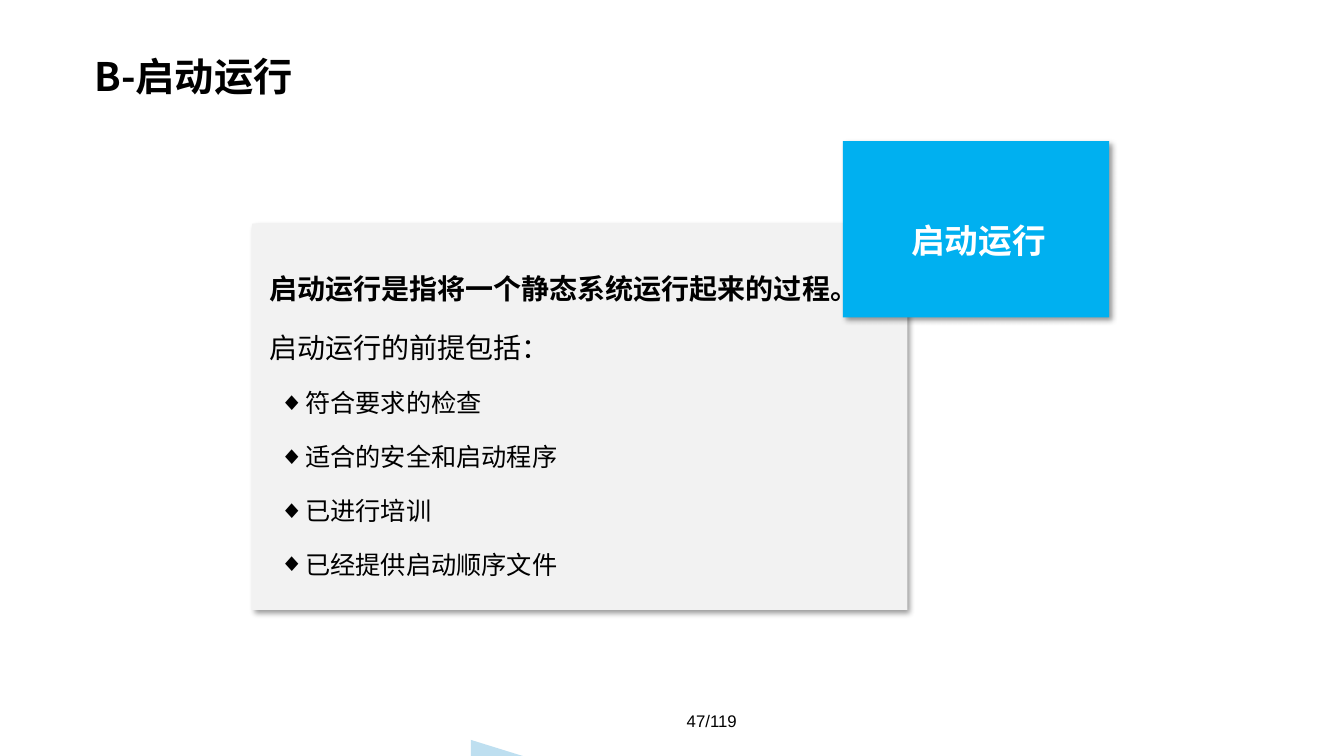
from lxml import etree
from pptx import Presentation
from pptx.dml.color import RGBColor
from pptx.enum.shapes import MSO_SHAPE
from pptx.enum.text import MSO_ANCHOR, PP_ALIGN
from pptx.oxml.ns import qn
from pptx.util import Inches, Pt

RECT, TRIANGLE = MSO_SHAPE.RECTANGLE, MSO_SHAPE.RIGHT_TRIANGLE
TOP, MIDDLE = MSO_ANCHOR.TOP, MSO_ANCHOR.MIDDLE
LEFT, CENTER = PP_ALIGN.LEFT, PP_ALIGN.CENTER
CJK, LATIN = "Noto Sans CJK SC", "Arial"
COLORS = {"black": "000000", "white": "FFFFFF", "panel": "F2F2F2",
          "tag": "00B0F0", "accent": "BEDFF0"}
STATEMENT = "启动运行是指将一个静态系统运行起来的过程。"
INTRO = "启动运行的前提包括："
CONDITIONS = ["符合要求的检查", "适合的安全和启动程序", "已进行培训", "已经提供启动顺序文件"]


def add_block(s, kind, box, color):
    """Add a borderless filled shape without a shadow."""
    sp = s.shapes.add_shape(kind, *map(Inches, box))
    sp.shadow.inherit = False
    sp.fill.solid()
    sp.fill.fore_color.rgb = RGBColor.from_string(COLORS[color])
    sp.line.fill.background()
    return sp


def add_shadow(sp):
    """Give a shape a soft shadow to the lower right."""
    effects = sp._element.spPr.find(qn("a:effectLst"))
    shadow = etree.SubElement(effects, qn("a:outerShdw"), blurRad=str(Pt(4)),
                              dist=str(Pt(3)), dir="2700000", algn="tl", rotWithShape="0")
    color = etree.SubElement(shadow, qn("a:srgbClr"), val=COLORS["black"])
    etree.SubElement(color, qn("a:alpha"), val="40000")


def add_bullet(p):
    """Give a paragraph a diamond bullet with a hanging indent."""
    pPr = p._p.get_or_add_pPr()
    pPr.set("marL", str(Inches(0.36)))
    pPr.set("indent", str(Inches(-0.26)))
    etree.SubElement(pPr, qn("a:buFont"), typeface=LATIN)
    etree.SubElement(pPr, qn("a:buChar"), char="◆")


def format_text(p, size, bold=False, color="black", font=CJK, align=LEFT, spacing=1.0):
    """Format a paragraph and its runs."""
    p.alignment = align
    p.line_spacing = spacing
    for r in p.runs:
        r.font.size = Pt(size)
        r.font.bold = bold
        r.font.name = font
        r.font.color.rgb = RGBColor.from_string(COLORS[color])
        etree.SubElement(r._r.get_or_add_rPr(), qn("a:ea"), typeface=font)


def add_text(s, box, text, size, anchor=TOP, wrap=True, **style):
    """Add a text box with one formatted paragraph."""
    tf = s.shapes.add_textbox(*map(Inches, box)).text_frame
    tf.word_wrap = wrap
    tf.vertical_anchor = anchor
    tf.text = text
    format_text(tf.paragraphs[0], size, **style)
    return tf


def add_panel(s, left, top, width, height):
    """Add the grey panel with the definition and its conditions."""
    add_shadow(add_block(s, RECT, (left, top, width, height), "panel"))
    box = (left + 0.07, top + 0.26, width - 0.22, height - 0.48)
    tf = add_text(s, box, STATEMENT, 20, bold=True, spacing=1.5)
    tf.paragraphs[0].space_after = Pt(6)
    for text in [INTRO] + CONDITIONS:
        p = tf.add_paragraph()
        p.text = text
        if text != INTRO:
            add_bullet(p)
        format_text(p, 20 if text == INTRO else 18, spacing=1.5)
        p.space_after = Pt(6)


def add_tag(s, left, top, width, height):
    """Add the blue tag with its centred label."""
    add_shadow(add_block(s, RECT, (left, top, width, height), "tag"))
    add_text(s, (left + 0.57, top + 0.53, 1.55, 0.71), "启动运行", 24, wrap=False,
             bold=True, color="white", align=CENTER, spacing=1.5)


def add_footer(s, left, top, width, height):
    """Add the page number and the corner accent below it."""
    add_block(s, TRIANGLE, (left - 0.89, top + 0.39, 0.58, 0.18), "accent")
    add_text(s, (left, top, width, height), "47/119", 12, anchor=MIDDLE,
             font=LATIN, align=CENTER)


def main():
    """Build the slide and save it."""
    prs = Presentation()
    prs.slide_width, prs.slide_height = Inches(13.33), Inches(7.5)
    s = prs.slides.add_slide(prs.slide_layouts[6])
    add_text(s, (0.84, 0.43, 11.65, 0.71), "B-启动运行", 28, anchor=MIDDLE,
             bold=True, spacing=0.9)
    add_panel(s, 2.5, 2.22, 6.5, 3.83)
    add_tag(s, 8.36, 1.4, 2.64, 1.75)
    add_footer(s, 5.56, 6.95, 3, 0.4)
    prs.save("out.pptx")


if __name__ == "__main__":
    main()
